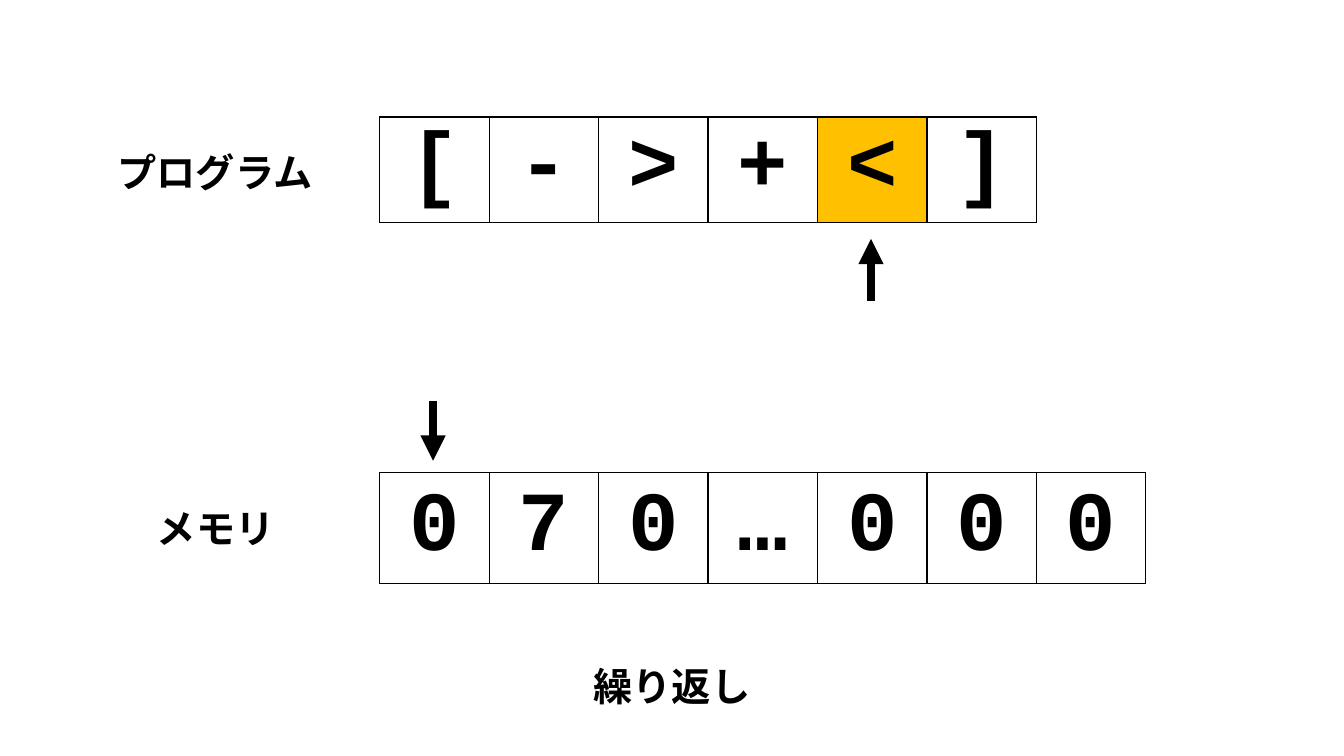
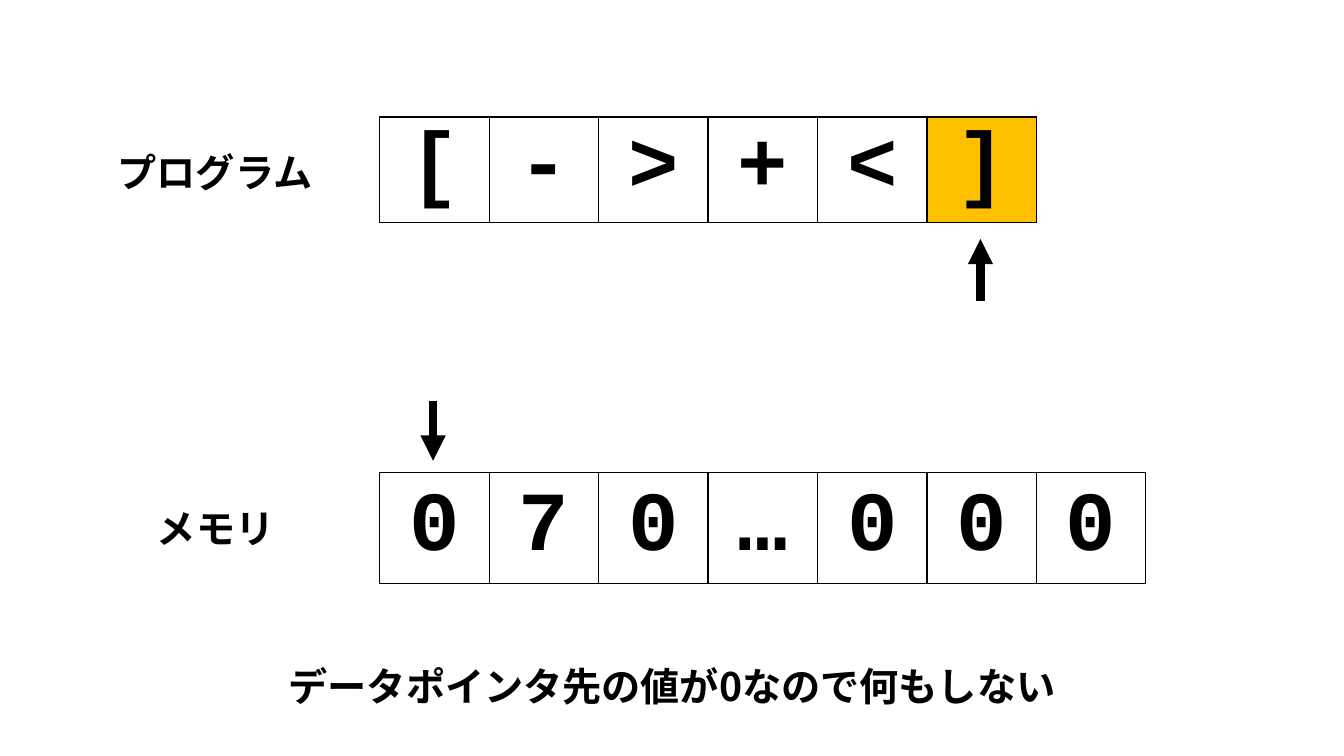
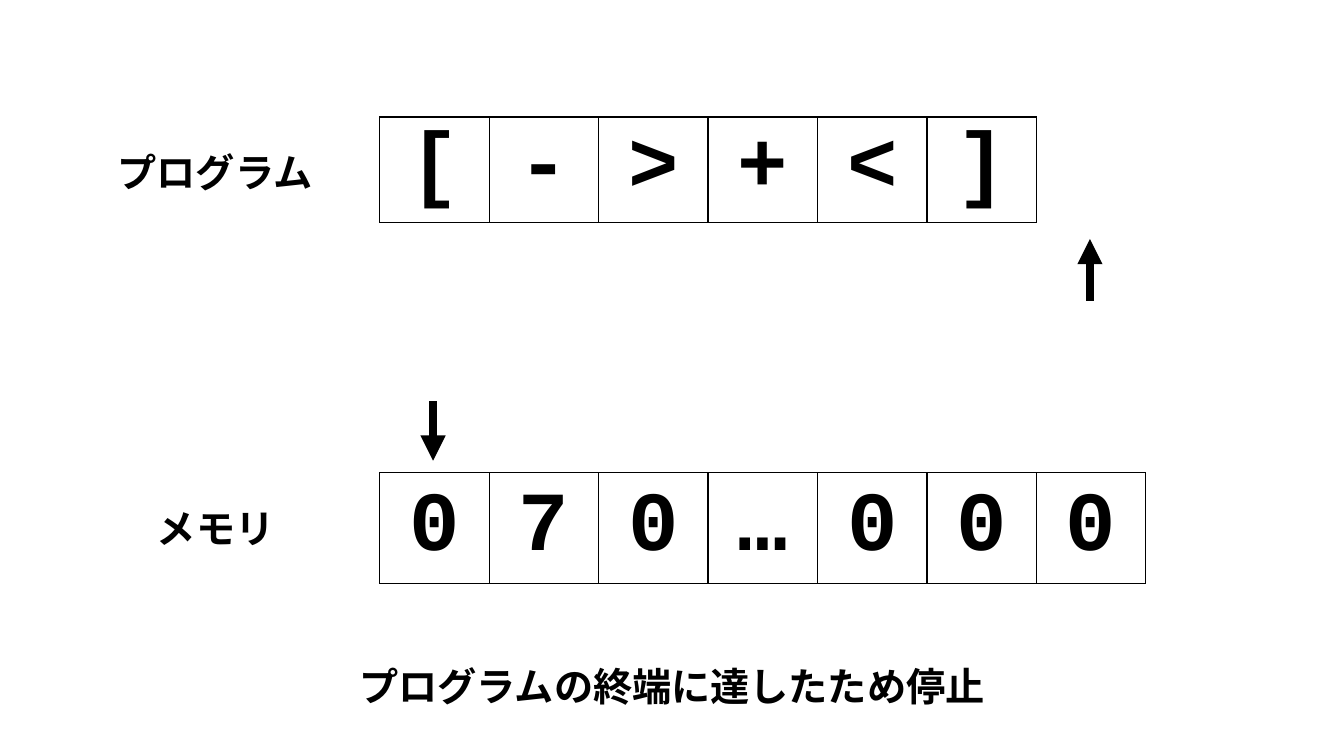
from dataclasses import dataclass
from typing import NamedTuple

from lxml.etree import SubElement
from pptx import Presentation
from pptx.dml.color import RGBColor as Color
from pptx.enum.lang import MSO_LANGUAGE_ID as Language
from pptx.enum.shapes import MSO_CONNECTOR as Connector
from pptx.enum.text import MSO_ANCHOR as Anchor, MSO_AUTO_SIZE as AutoSize, PP_ALIGN as Align
from pptx.oxml.ns import qn
from pptx.util import Pt


@dataclass(frozen=True)
class Theme:
    """Colours, fonts, type sizes and line widths of the deck."""
    ink: Color = Color(0, 0, 0)
    paper: Color = Color(255, 255, 255)
    current: Color = Color(255, 192, 0)
    code_font: str = "Courier New"
    text_font: str = "Noto Sans CJK JP"
    code_size: int = 60
    text_size: int = 28
    border: int = 1
    arrow: int = 6


class Box(NamedTuple):
    """A rectangle in points."""
    left: float
    top: float
    width: float
    height: float

    def lengths(self):
        """Return the four sides as Pt lengths."""
        return [Pt(value) for value in self]


THEME = Theme()
CELL_WIDTH = 78.2
LABEL_CENTRE = 155
LABEL_DROP = 19.2
TEXT_HEIGHT = 41
ARROW_SHIFT = -1

PROGRAM = "[->+<]"
MEMORY = "070…000"
PROGRAM_BOX = Box(271.25, 83.5, CELL_WIDTH * len(PROGRAM), 75.2)
MEMORY_BOX = Box(271.25, 337.7, CELL_WIDTH * len(MEMORY), 79.2)
CAPTION_BOX = Box(67, 469.4, 826, TEXT_HEIGHT)

STEPS = [
    (4, "繰り返し"),
    (5, "データポインタ先の値が0なので何もしない"),
    (6, "プログラムの終端に達したため停止"),
]


def style_text(frame, text, font, size, align):
    """Write one bold paragraph in the given font and size."""
    frame.text = text
    para = frame.paragraphs[0]
    para.alignment = align
    for span in para.runs:
        span.font.name = font
        span.font.size = Pt(size)
        span.font.bold = True
        span.font.color.rgb = THEME.ink
        span.font.language_id = Language.JAPANESE
        SubElement(span.font._element, qn("a:ea"), typeface=font)


def add_text(page, box, text, align, wrap):
    """Place a line of text that fits its shape to the wording."""
    frame = page.shapes.add_textbox(*box.lengths()).text_frame
    frame.word_wrap = wrap
    frame.auto_size = AutoSize.SHAPE_TO_FIT_TEXT
    style_text(frame, text, THEME.text_font, THEME.text_size, align)


def add_label(page, row, text):
    """Place the name of a row to its left."""
    width = len(text) * THEME.text_size + 16
    box = Box(LABEL_CENTRE - width / 2, row.top + LABEL_DROP, width, TEXT_HEIGHT)
    add_text(page, box, text, Align.LEFT, False)


def add_borders(cell):
    """Draw a thin line on each side of a cell."""
    properties = cell._tc.get_or_add_tcPr()
    for side in ("lnL", "lnR", "lnT", "lnB"):
        line = SubElement(properties, qn(f"a:{side}"), w=str(Pt(THEME.border)))
        fill = SubElement(line, qn("a:solidFill"))
        SubElement(fill, qn("a:srgbClr"), val=str(THEME.ink))


def add_cells(page, box, symbols, current=None):
    """Fill the box with a one-row table, one symbol to a cell."""
    table = page.shapes.add_table(1, len(symbols), *box.lengths()).table
    table.first_row = table.horz_banding = False
    for index, symbol in enumerate(symbols):
        table.columns[index].width = Pt(box.width / len(symbols))
        cell = table.cell(0, index)
        cell.vertical_anchor = Anchor.MIDDLE
        add_borders(cell)
        cell.fill.solid()
        cell.fill.fore_color.rgb = THEME.current if index == current else THEME.paper
        style_text(cell.text_frame, symbol, THEME.code_font, THEME.code_size, Align.CENTER)


def add_pointer(page, row, index, start, end):
    """Point an upright arrow at one cell of a row."""
    centre = Pt(row.left + (index + 0.5) * CELL_WIDTH + ARROW_SHIFT)
    arrow = page.shapes.add_connector(Connector.STRAIGHT, centre, Pt(start), centre, Pt(end))
    arrow.line.color.rgb = THEME.ink
    arrow.line.width = Pt(THEME.arrow)
    SubElement(arrow.line._get_or_add_ln(), qn("a:tailEnd"), type="triangle")
    SubElement(arrow._element.spPr, qn("a:effectLst"))


def add_program(page, box, position):
    """Draw the program row with the instruction pointer below it."""
    add_cells(page, box, PROGRAM, position)
    add_label(page, box, "プログラム")
    tip = box.top + box.height + 12
    add_pointer(page, box, position, tip + 44, tip)


def add_memory(page, box):
    """Draw the memory row with the data pointer above it."""
    add_cells(page, box, MEMORY)
    add_label(page, box, "メモリ")
    tip = box.top - 8.6
    add_pointer(page, box, 0, tip - 42.5, tip)


def add_step(deck, position, caption):
    """Add the slide for one step of the run."""
    page = deck.slides.add_slide(deck.slide_layouts[6])
    add_program(page, PROGRAM_BOX, position)
    add_memory(page, MEMORY_BOX)
    add_text(page, CAPTION_BOX, caption, Align.CENTER, True)


def main():
    """Build and save the deck."""
    deck = Presentation()
    deck.slide_width, deck.slide_height = Pt(960), Pt(540)
    for position, caption in STEPS:
        add_step(deck, position, caption)
    deck.save("out.pptx")


if __name__ == "__main__":
    main()
